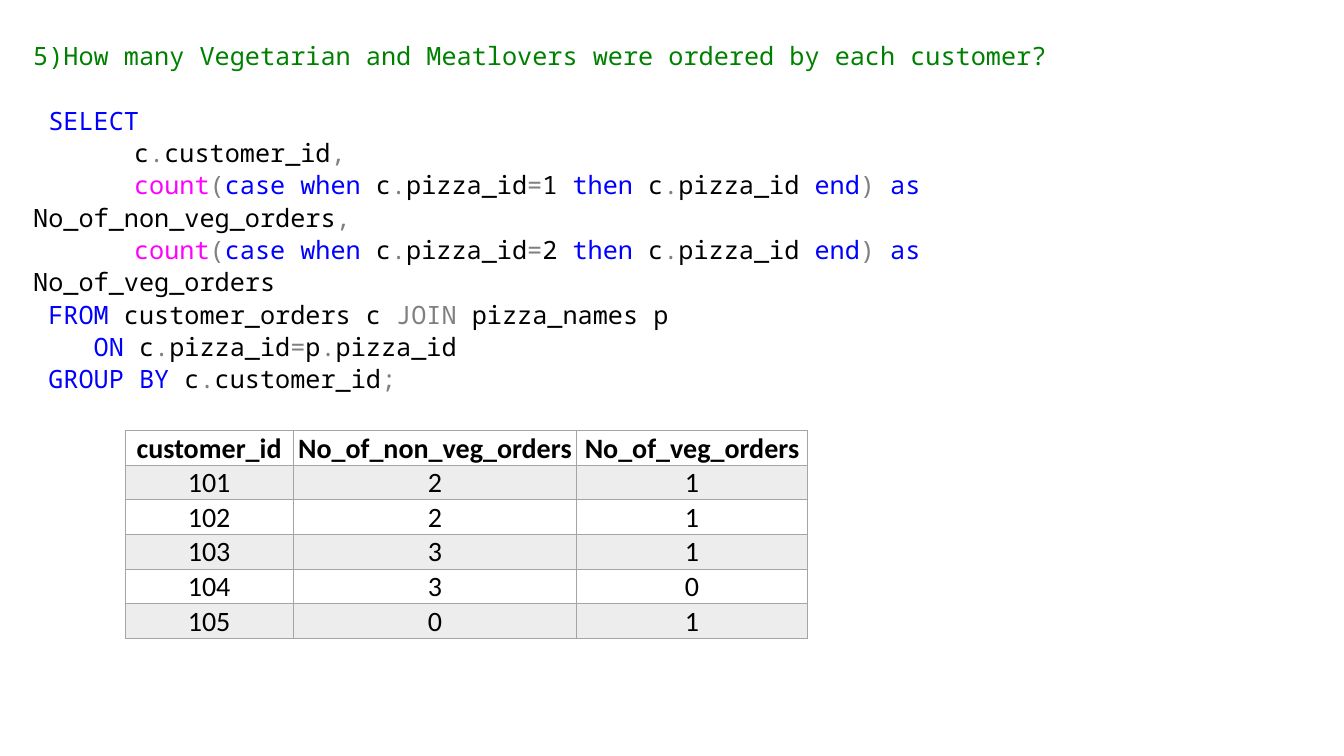
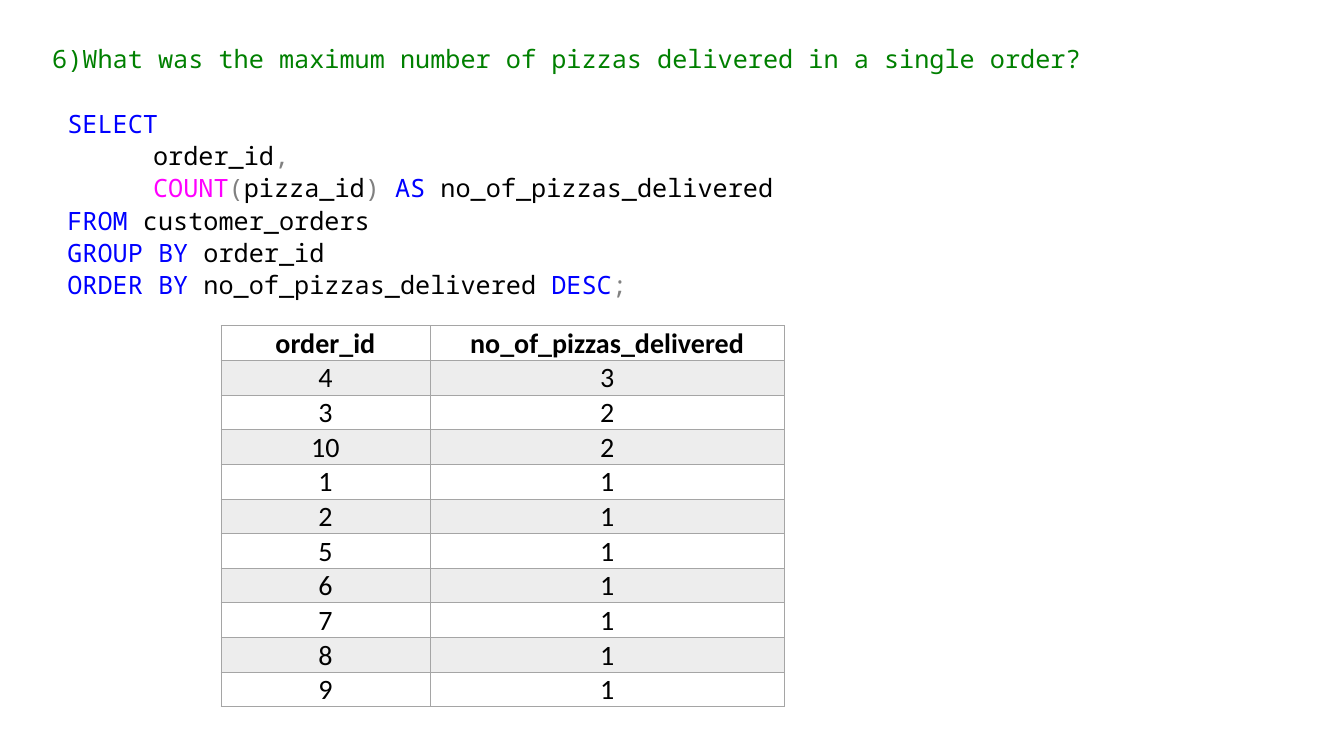
from dataclasses import dataclass
from itertools import groupby

from lxml import etree
from pptx import Presentation
from pptx.dml.color import RGBColor
from pptx.enum.text import MSO_ANCHOR, MSO_AUTO_SIZE, PP_ALIGN
from pptx.oxml.ns import qn
from pptx.util import Inches, Pt

SLIDE_WIDTH, SLIDE_HEIGHT = Inches(13.33), Inches(7.5)
BLANK_LAYOUT = 6
CENTER, BOTTOM = PP_ALIGN.CENTER, MSO_ANCHOR.BOTTOM
GROW = MSO_AUTO_SIZE.SHAPE_TO_FIT_TEXT

BLACK = RGBColor(0x00, 0x00, 0x00)
QUESTION_GREEN = RGBColor(0x00, 0x80, 0x00)
KEYWORD_BLUE = RGBColor(0x00, 0x00, 0xFF)
FUNCTION_PINK = RGBColor(0xFF, 0x00, 0xFF)
OPERATOR_GRAY = RGBColor(0x80, 0x80, 0x80)
BORDER_GRAY = RGBColor(0xA5, 0xA5, 0xA5)
BAND_GRAY = RGBColor(0xED, 0xED, 0xED)

CODE_FONT, CODE_SIZE = "Noto Sans Mono", Pt(18)
TABLE_FONT, TABLE_SIZE = "Calibri", Pt(20)
LINE_SPACING = 1.07
QUESTION_GAP = Pt(23)
CHARACTER_WIDTH = Inches(0.15)
COLUMN_INDENT = Inches(1)
ROW_SHARE = 4.58
CELL_MARGIN = Inches(0.01)
BORDER_WIDTH = Pt(0.5)

WORD_COLORS = {
    **dict.fromkeys("select case when then end as from on group by order desc".split(), KEYWORD_BLUE),
    "count": FUNCTION_PINK,
    "join": OPERATOR_GRAY,
}


@dataclass
class Query:
    """A question, its SQL as (indent, code) lines, its result rows, and their boxes in percent of the slide."""
    question: str
    lines: list
    rows: list
    column_weights: list
    code_box: tuple
    table_box: tuple


QUERIES = [
    Query(
        "5)How many Vegetarian and Meatlovers were ordered by each customer?",
        [
            (CHARACTER_WIDTH, "SELECT"),
            (COLUMN_INDENT, "c.customer_id,"),
            (COLUMN_INDENT, "count(case when c.pizza_id=1 then c.pizza_id end) as No_of_non_veg_orders,"),
            (COLUMN_INDENT, "count(case when c.pizza_id=2 then c.pizza_id end) as No_of_veg_orders"),
            (CHARACTER_WIDTH, "FROM customer_orders c JOIN pizza_names p"),
            (4 * CHARACTER_WIDTH, "ON c.pizza_id=p.pizza_id"),
            (CHARACTER_WIDTH, "GROUP BY c.customer_id;"),
        ],
        [
            ("customer_id", "No_of_non_veg_orders", "No_of_veg_orders"),
            (101, 2, 1), (102, 2, 1), (103, 3, 1), (104, 3, 0), (105, 0, 1),
        ],
        [1.67, 2.81, 2.29],
        (1.73, 4.4, 82.6, 44.53),
        (9.3, 56.93, 50.79),
    ),
    Query(
        "6)What was the maximum number of pizzas delivered in a single order?",
        [
            (CHARACTER_WIDTH, "SELECT"),
            (COLUMN_INDENT, "order_id,"),
            (COLUMN_INDENT, "COUNT(pizza_id) AS no_of_pizzas_delivered"),
            (CHARACTER_WIDTH, "FROM customer_orders"),
            (CHARACTER_WIDTH, "GROUP BY order_id"),
            (CHARACTER_WIDTH, "ORDER BY no_of_pizzas_delivered DESC;"),
        ],
        [
            ("order_id", "no_of_pizzas_delivered"),
            (4, 3), (3, 2), (10, 2), (1, 1), (2, 1), (5, 1), (6, 1), (7, 1), (8, 1), (9, 1),
        ],
        [2.07, 3.51],
        (3.15, 4.8, 79.82, 35.87),
        (16.43, 43.07, 41.94),
    ),
]


def across(share):
    """Return a percentage of the slide width as a length."""
    return int(SLIDE_WIDTH * share / 100)


def down(share):
    """Return a percentage of the slide height as a length."""
    return int(SLIDE_HEIGHT * share / 100)


def character_kind(character):
    """Tell words, spaces and operators apart."""
    if character.isspace():
        return "space"
    return "word" if character.isalnum() or character == "_" else "operator"


def colored_tokens(code):
    """Yield each SQL token with its syntax colour."""
    for kind, characters in groupby(code, character_kind):
        token = "".join(characters)
        if kind == "operator":
            yield token, OPERATOR_GRAY
        else:
            yield token, WORD_COLORS.get(token.lower(), BLACK)


def style_run(run, font_name, size, color, bold=False):
    """Set the font of a run."""
    font = run.font
    font.name, font.size, font.bold = font_name, size, bold
    font.color.rgb = color


def add_code_line(paragraph, tokens, indent=0):
    """Write coloured tokens into a paragraph with a first-line indent."""
    paragraph.line_spacing = LINE_SPACING
    properties = paragraph._p.get_or_add_pPr()
    properties.set("marL", "0")
    properties.set("indent", str(int(indent)))
    for token, color in tokens:
        run = paragraph.add_run()
        run.text = token
        style_run(run, CODE_FONT, CODE_SIZE, color)


def add_code(slide, query):
    """Place the question and its SQL in the code box."""
    left, top, width, height = query.code_box
    text_box = slide.shapes.add_textbox(across(left), down(top), across(width), down(height))
    text_frame = text_box.text_frame
    text_frame.word_wrap = True
    text_frame.auto_size = GROW
    heading = text_frame.paragraphs[0]
    add_code_line(heading, [(query.question, QUESTION_GREEN)])
    heading.space_after = QUESTION_GAP
    for indent, code in query.lines:
        add_code_line(text_frame.add_paragraph(), colored_tokens(code), indent)


def add_borders(cell):
    """Draw a thin line on all four sides of a cell."""
    properties = cell._tc.get_or_add_tcPr()
    for side in ("a:lnL", "a:lnR", "a:lnT", "a:lnB"):
        line = etree.SubElement(properties, qn(side), w=str(BORDER_WIDTH))
        fill = etree.SubElement(line, qn("a:solidFill"))
        etree.SubElement(fill, qn("a:srgbClr"), val=str(BORDER_GRAY))


def fill_cell(cell, value, is_header, is_banded):
    """Write and format one cell of the result table."""
    add_borders(cell)
    if is_banded:
        cell.fill.solid()
        cell.fill.fore_color.rgb = BAND_GRAY
    else:
        cell.fill.background()
    cell.margin_left = cell.margin_right = cell.margin_top = CELL_MARGIN
    cell.margin_bottom = 0
    cell.vertical_anchor = BOTTOM
    paragraph = cell.text_frame.paragraphs[0]
    paragraph.text = str(value)
    paragraph.alignment = CENTER
    style_run(paragraph.runs[0], TABLE_FONT, TABLE_SIZE, BLACK, is_header)


def add_result(slide, query):
    """Place the result table in the table box."""
    left, top, width = query.table_box
    row_count, column_count = len(query.rows), len(query.column_weights)
    table = slide.shapes.add_table(
        row_count, column_count, across(left), down(top), across(width), down(ROW_SHARE * row_count)
    ).table
    for column, weight in zip(table.columns, query.column_weights):
        column.width = across(width * weight / sum(query.column_weights))
    for row_index, values in enumerate(query.rows):
        for column_index, value in enumerate(values):
            cell = table.cell(row_index, column_index)
            fill_cell(cell, value, row_index == 0, row_index % 2 == 1)


def add_query_slide(presentation, query):
    """Add a slide with a question, its SQL and the result."""
    slide = presentation.slides.add_slide(presentation.slide_layouts[BLANK_LAYOUT])
    add_code(slide, query)
    add_result(slide, query)


def main():
    """Build and save the presentation."""
    presentation = Presentation()
    presentation.slide_width, presentation.slide_height = SLIDE_WIDTH, SLIDE_HEIGHT
    for query in QUERIES:
        add_query_slide(presentation, query)
    presentation.save("out.pptx")


if __name__ == "__main__":
    main()
